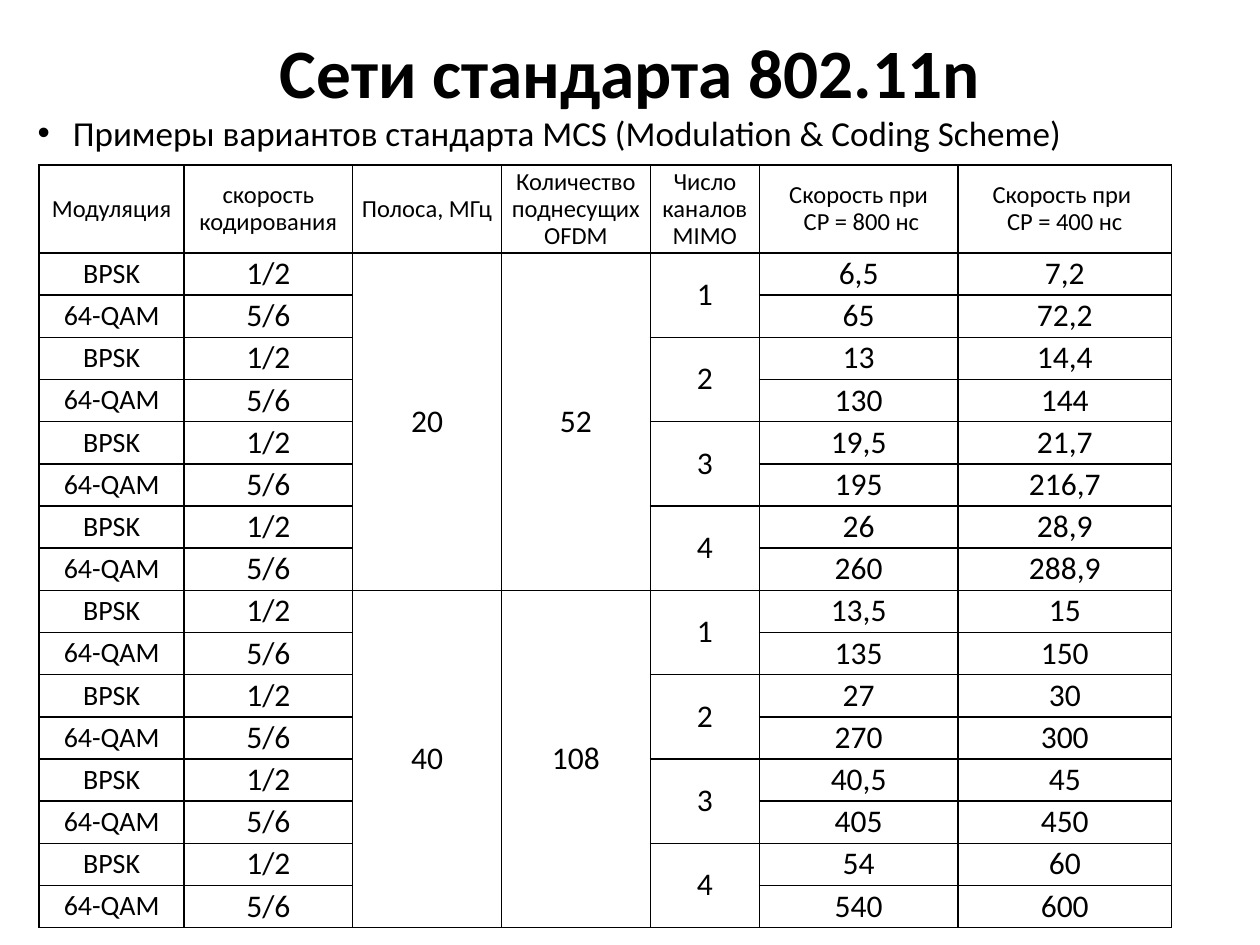
"""Build a slide with a table of 802.11n modulation and coding schemes."""
from lxml import etree
from pptx import Presentation
from pptx import util as u
from pptx.dml.color import RGBColor
from pptx.enum import text
from pptx.oxml import ns

COLORS = {"ink": "000000"}
FONT = "Calibri"
TITLE = "Сети стандарта 802.11n"
LEAD = "Примеры вариантов стандарта MCS (Modulation & Coding Scheme)"
HEADERS = [
    "Модуляция", "скорость кодирования", "Полоса, МГц",
    "Количество поднесущих OFDM", "Число каналов MIMO",
    "Скорость при\v СР = 800 нс", "Скорость при \vСР = 400 нс",
]
SCHEMES = [("BPSK", "1/2"), ("64-QAM", "5/6")]
BANDS = [
    {"width": "20", "subcarriers": "52", "speeds": [
        ("6,5", "7,2"), ("65", "72,2"), ("13", "14,4"), ("130", "144"),
        ("19,5", "21,7"), ("195", "216,7"), ("26", "28,9"), ("260", "288,9")]},
    {"width": "40", "subcarriers": "108", "speeds": [
        ("13,5", "15"), ("135", "150"), ("27", "30"), ("270", "300"),
        ("40,5", "45"), ("405", "450"), ("54", "60"), ("540", "600")]},
]
COLUMN_WIDTHS = [2.92, 3.4, 3, 3, 2.2, 4, 4.31]
HEADER_HEIGHT, ROW_HEIGHT = 1.77, 0.85
HEADER_SIZE, SCHEME_SIZE, VALUE_SIZE = 14, 16, 18


def place(shape, left, top, width, height):
    shape.left, shape.top = u.Cm(left), u.Cm(top)
    shape.width, shape.height = u.Cm(width), u.Cm(height)


def style_runs(frame, size, bold=False):
    for para in frame.paragraphs:
        for span in para.runs:
            span.font.name = FONT
            span.font.size = u.Pt(size)
            span.font.bold = bold
            span.font.color.rgb = RGBColor.from_string(COLORS["ink"])


def add_borders(cell):
    properties = cell._tc.get_or_add_tcPr()
    for position, side in enumerate(("a:lnL", "a:lnR", "a:lnT", "a:lnB")):
        line = etree.Element(ns.qn(side), w=str(u.Pt(1)))
        fill = etree.SubElement(line, ns.qn("a:solidFill"))
        etree.SubElement(fill, ns.qn("a:srgbClr"), val=COLORS["ink"])
        properties.insert(position, line)


def format_cell(cell):
    cell.fill.background()
    cell.vertical_anchor = text.MSO_ANCHOR.MIDDLE
    cell.margin_left = cell.margin_right = u.Cm(0.15)
    cell.margin_top = cell.margin_bottom = u.Cm(0.08)
    add_borders(cell)


def write_cell(cell, content, size):
    cell.text_frame.text = content
    para = cell.text_frame.paragraphs[0]
    para.alignment = text.PP_ALIGN.CENTER
    para.line_spacing = 0.9
    style_runs(cell.text_frame, size)


def add_title(page):
    title = page.shapes.title
    place(title, 1.27, 0.56, 22.86, 1.75)
    frame = title.text_frame
    frame.text = TITLE
    frame.vertical_anchor = text.MSO_ANCHOR.MIDDLE
    frame.paragraphs[0].alignment = text.PP_ALIGN.CENTER
    style_runs(frame, 39.6, bold=True)


def add_lead(page):
    box = page.shapes.add_textbox(u.Cm(0.51), u.Cm(2.13), u.Cm(24.2), u.Cm(15.6))
    frame = box.text_frame
    frame.word_wrap = True
    frame.text = LEAD
    properties = frame.paragraphs[0]._p.get_or_add_pPr()
    properties.set("marL", str(u.Cm(0.71)))
    properties.set("indent", str(-u.Cm(0.71)))
    etree.SubElement(properties, ns.qn("a:buFont"), typeface="Arial")
    etree.SubElement(properties, ns.qn("a:buChar"), char="•")
    style_runs(frame, 20)


def add_rates(page):
    row_count = sum(len(band["speeds"]) for band in BANDS)
    height = HEADER_HEIGHT + row_count * ROW_HEIGHT
    table = page.shapes.add_table(
        row_count + 1, len(HEADERS), u.Cm(0.79), u.Cm(3.33),
        u.Cm(sum(COLUMN_WIDTHS)), u.Cm(height)).table
    table.first_row = table.horz_banding = False
    for column, width in zip(table.columns, COLUMN_WIDTHS):
        column.width = u.Cm(width)
    for index, row in enumerate(table.rows):
        row.height = u.Cm(ROW_HEIGHT if index else HEADER_HEIGHT)
    for cell in table.iter_cells():
        format_cell(cell)
    for column, header in enumerate(HEADERS):
        write_cell(table.cell(0, column), header, HEADER_SIZE)

    def write_merged(row, column, span, content):
        cell = table.cell(row, column)
        cell.merge(table.cell(row + span - 1, column))
        write_cell(cell, content, VALUE_SIZE)

    first = 1
    for band in BANDS:
        speeds = band["speeds"]
        write_merged(first, 2, len(speeds), band["width"])
        write_merged(first, 3, len(speeds), band["subcarriers"])
        for offset, (long_guard, short_guard) in enumerate(speeds):
            row = first + offset
            channel, variant = divmod(offset, len(SCHEMES))
            modulation, coding = SCHEMES[variant]
            if variant == 0:
                write_merged(row, 4, len(SCHEMES), str(channel + 1))
            write_cell(table.cell(row, 0), modulation, SCHEME_SIZE)
            for column, value in ((1, coding), (5, long_guard), (6, short_guard)):
                write_cell(table.cell(row, column), value, VALUE_SIZE)
        first += len(speeds)


def main():
    deck = Presentation()
    deck.slide_width, deck.slide_height = u.Cm(25.4), u.Cm(19.05)
    page = deck.slides.add_slide(deck.slide_layouts[5])
    add_title(page)
    add_lead(page)
    add_rates(page)
    deck.save("out.pptx")


if __name__ == "__main__":
    main()
